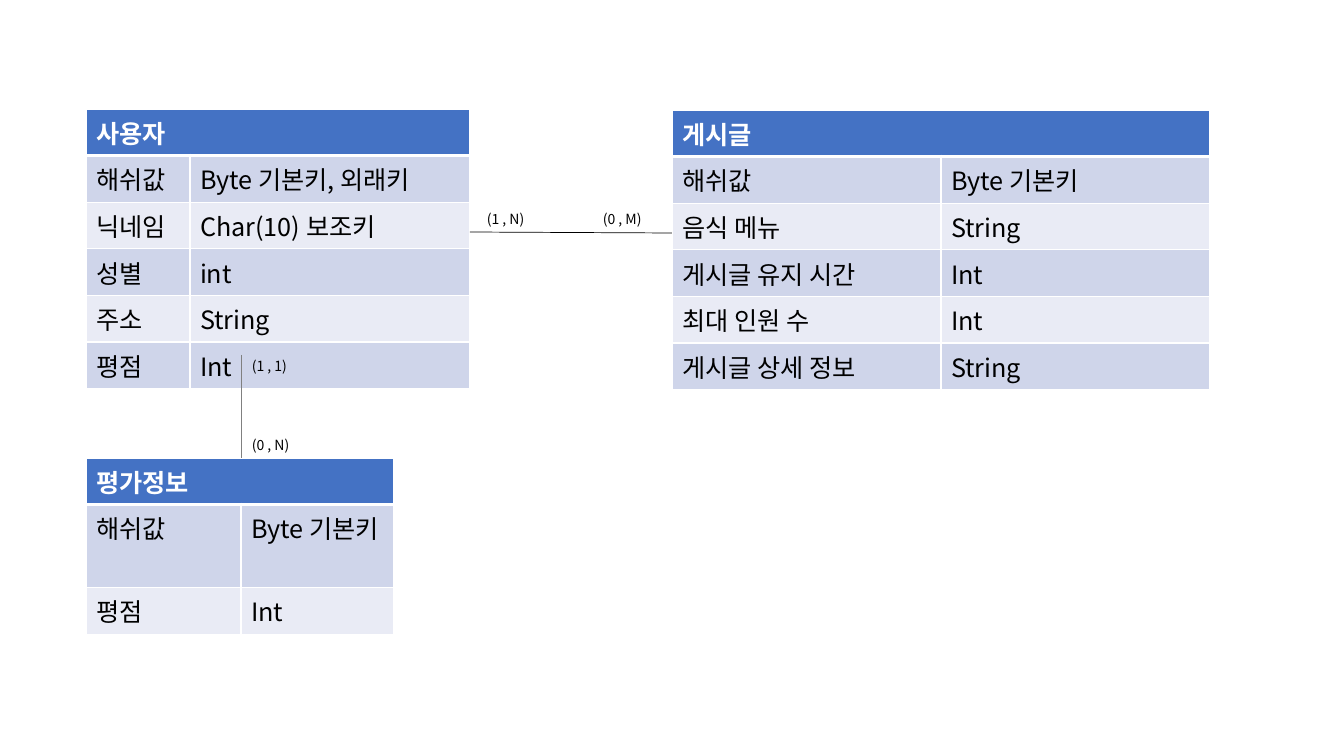
"""Build an entity-relationship slide with three tables and cardinality labels."""
from dataclasses import dataclass

from lxml import etree
from pptx import Presentation
from pptx import util as u
from pptx.dml.color import RGBColor
from pptx.enum import shapes, text
from pptx.oxml import ns


@dataclass(frozen=True)
class Theme:
    font: str = "Noto Sans CJK KR"
    header: str = "4472C4"
    bands: tuple = ("CFD5EA", "E9EBF5")
    white: str = "FFFFFF"
    black: str = "000000"
    gray: str = "808080"
    cell_size: int = 18
    label_size: int = 10
    line: float = 0.5
    border: int = 1
    header_border: int = 3


theme = Theme()


def px(value):
    return u.Emu(round(value * 914400 / 100.8))


def write(frame, words, *, size, color=theme.black, bold=False):
    para = frame.paragraphs[0]
    para.alignment = text.PP_ALIGN.LEFT
    span = para.add_run()
    span.text = words
    span.font.name = theme.font
    span.font.size = u.Pt(size)
    span.font.bold = bold
    span.font.color.rgb = RGBColor.from_string(color)
    etree.SubElement(span.font._element, ns.qn("a:ea"), typeface=theme.font)
    return para


deck = Presentation()
deck.slide_width, deck.slide_height = px(1344), px(756)
page = deck.slides.add_slide(deck.slide_layouts[6])

entities = [
    ("사용자", (86, 109), (104, 280), 41, [
        ("해쉬값", "Byte 기본키, 외래키"),
        ("닉네임", "Char(10) 보조키"),
        ("성별", "int"),
        ("주소", "String"),
        ("평점", "Int"),
    ]),
    ("게시글", (672, 110), (269, 269), 41, [
        ("해쉬값", "Byte 기본키"),
        ("음식 메뉴", "String"),
        ("게시글 유지 시간", "Int"),
        ("최대 인원 수", "Int"),
        ("게시글 상세 정보", "String"),
    ]),
    ("평가정보", (86, 458), (155, 153), 44, [
        ("해쉬값", "Byte 기본키"),
        ("평점", "Int"),
    ]),
]

for title, (left, top), widths, row_height, fields in entities:
    rows = [(title, ""), *fields]
    table = page.shapes.add_table(
        len(rows), 2, px(left), px(top), px(sum(widths)), px(row_height * len(rows))
    ).table
    for column, width in zip(table.columns, widths):
        column.width = px(width)
    table.cell(0, 0).merge(table.cell(0, 1))
    for row, values in enumerate(rows):
        is_header = row == 0
        for column, words in enumerate(values):
            cell = table.cell(row, column)
            cell.fill.solid()
            fill = theme.header if is_header else theme.bands[(row - 1) % 2]
            cell.fill.fore_color.rgb = RGBColor.from_string(fill)
            if words:
                write(cell.text_frame, words, size=theme.cell_size, bold=is_header,
                      color=theme.white if is_header else theme.black)
            properties = cell._tc.get_or_add_tcPr()
            for place, side in enumerate("LRTB"):
                thick = (row, side) in ((0, "B"), (1, "T"))
                weight = theme.header_border if thick else theme.border
                border = etree.Element(ns.qn(f"a:ln{side}"), w=str(u.Pt(weight)))
                paint = etree.SubElement(border, ns.qn("a:solidFill"))
                etree.SubElement(paint, ns.qn("a:srgbClr"), val=theme.white)
                properties.insert(place, border)

links = [
    ((470, 232), (672, 233), theme.black),
    ((241, 355), (241, 458), theme.gray),
]
for start, end, color in links:
    link = page.shapes.add_connector(
        shapes.MSO_CONNECTOR.STRAIGHT, *map(px, (*start, *end)))
    link.line.color.rgb = RGBColor.from_string(color)
    link.line.width = u.Pt(theme.line)
    etree.SubElement(link._element.spPr, ns.qn("a:effectLst"))

labels = [
    ("(1 , N)\t(0 , M)", 477, 206, 190),
    ("(1 , 1)", 242, 353, 64),
    ("(0 , N)", 242, 432, 64),
]
for words, left, top, width in labels:
    box = page.shapes.add_textbox(px(left), px(top), px(width), px(27))
    box.text_frame.word_wrap = True
    para = write(box.text_frame, words, size=theme.label_size)
    if "\t" in words:
        stops = etree.SubElement(para._p.get_or_add_pPr(), ns.qn("a:tabLst"))
        etree.SubElement(stops, ns.qn("a:tab"), pos=str(px(116)), algn="l")

deck.save("out.pptx")
